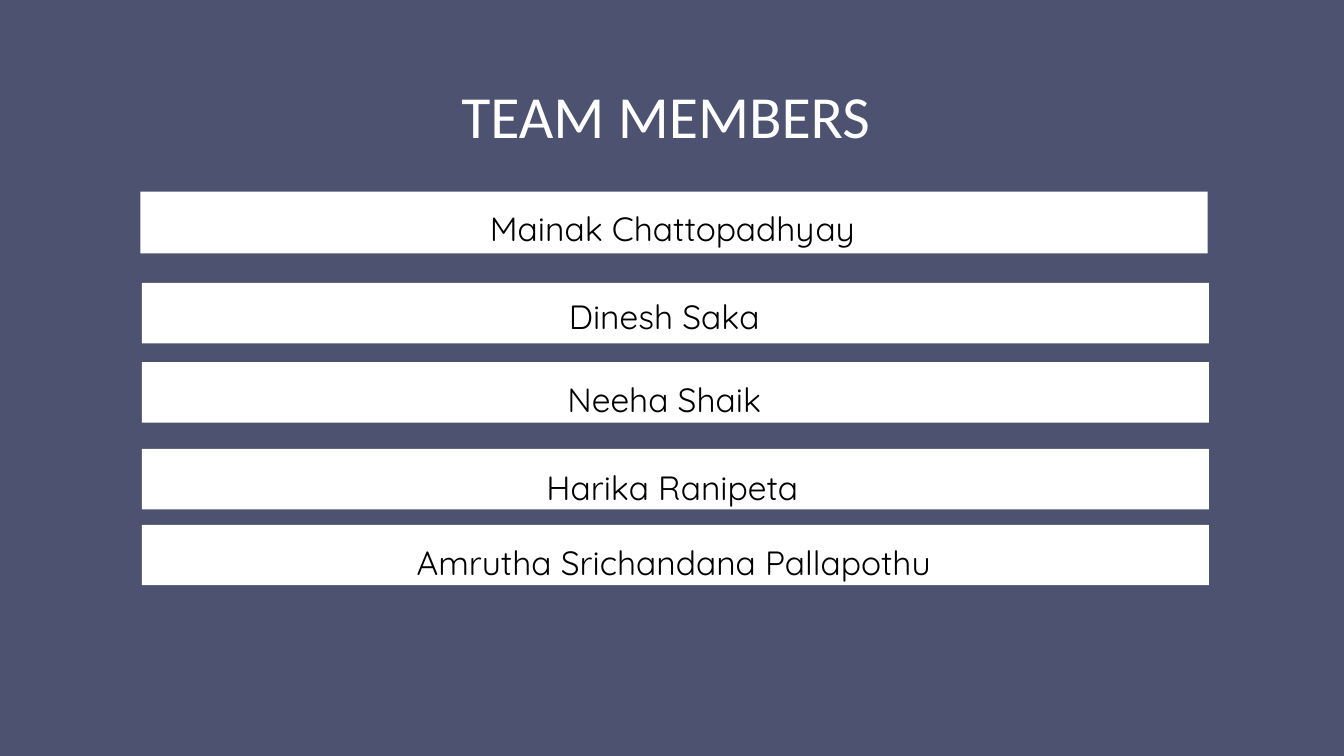
import pptx
import pptx.util
import pptx.dml.color
import pptx.enum.shapes
import pptx.enum.text

deck = pptx.Presentation()
deck.slide_width = pptx.util.Inches(20)
deck.slide_height = pptx.util.Inches(11.25)
column = deck.slide_width / 20
row = deck.slide_height / 11.25
page = deck.slides.add_slide(deck.slide_layouts[6])


def color(value):
    return pptx.dml.color.RGBColor.from_string(value)


def add_line(text, left, top, height, font, size, spacing, ink):
    box = page.shapes.add_textbox(
        int(left * column), int(top * row), int(16.93 * column), int(height * row))
    frame = box.text_frame
    frame.word_wrap = True
    frame.auto_size = pptx.enum.text.MSO_AUTO_SIZE.SHAPE_TO_FIT_TEXT
    frame.margin_left = frame.margin_right = frame.margin_top = frame.margin_bottom = 0
    para = frame.paragraphs[0]
    para.text = text
    para.alignment = pptx.enum.text.PP_ALIGN.CENTER
    para.line_spacing = pptx.util.Pt(spacing)
    para.font.name = font
    para.font.size = pptx.util.Pt(size)
    para.font.color.rgb = color(ink)


page.background.fill.solid()
page.background.fill.fore_color.rgb = color("4C5270")

add_line("TEAM MEMBERS ", 1.54, 1, 1.19, "Calibri", 64, 89.6, "FFFFFF")

members = [
    ("Mainak Chattopadhyay", 2.09, 2.85, 0.92, 1.54, 2.94),
    ("Dinesh Saka", 2.11, 4.21, 0.9, 1.42, 4.26),
    ("Neeha Shaik", 2.11, 5.39, 0.9, 1.42, 5.49),
    ("Harika Ranipeta", 2.11, 6.68, 0.9, 1.54, 6.8),
    ("Amrutha Srichandana Pallapothu", 2.11, 7.81, 0.9, 1.56, 7.92),
]
for name, bar_left, bar_top, bar_height, name_left, name_top in members:
    bar = page.shapes.add_shape(
        pptx.enum.shapes.MSO_SHAPE.RECTANGLE,
        int(bar_left * column), int(bar_top * row),
        int(15.88 * column), int(bar_height * row))
    bar.shadow.inherit = False
    bar.fill.solid()
    bar.fill.fore_color.rgb = color("FFFFFF")
    bar.line.fill.background()
    add_line(name, name_left, name_top, 0.7, "Quicksand", 36, 54, "000000")

deck.save("out.pptx")
